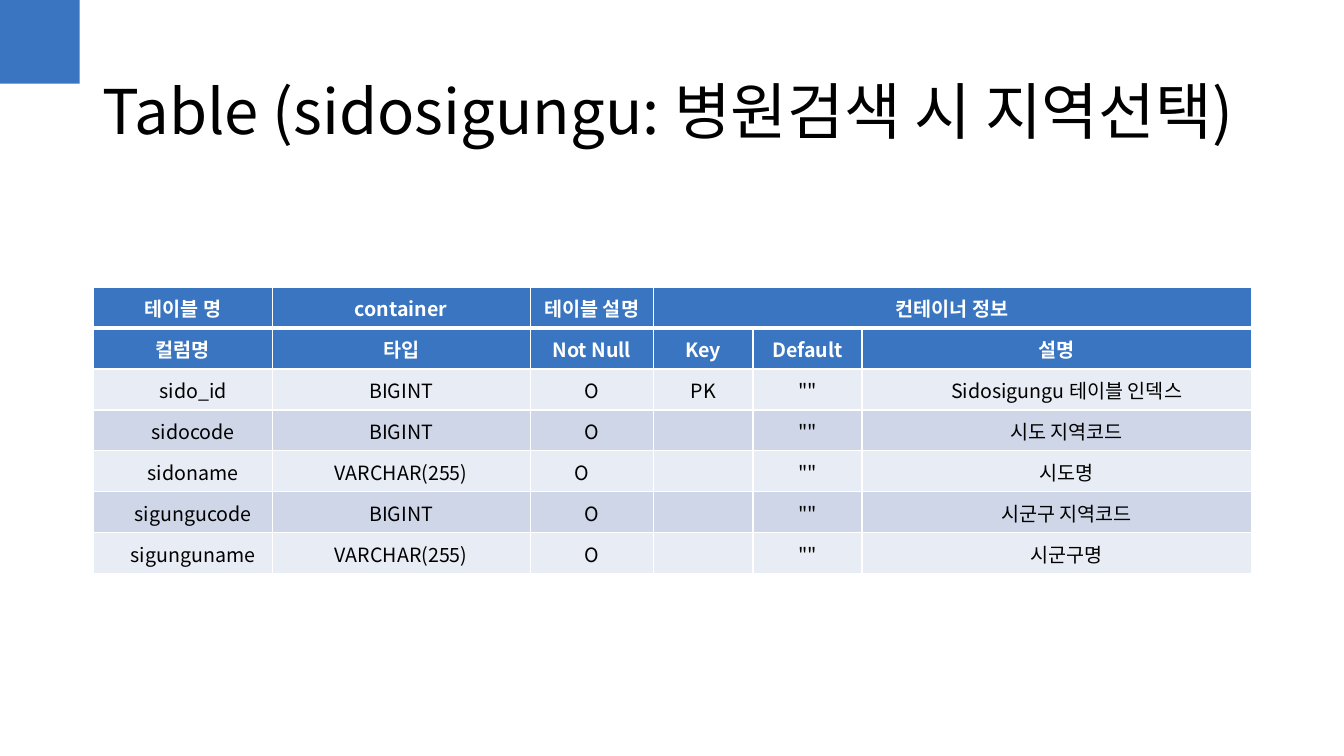
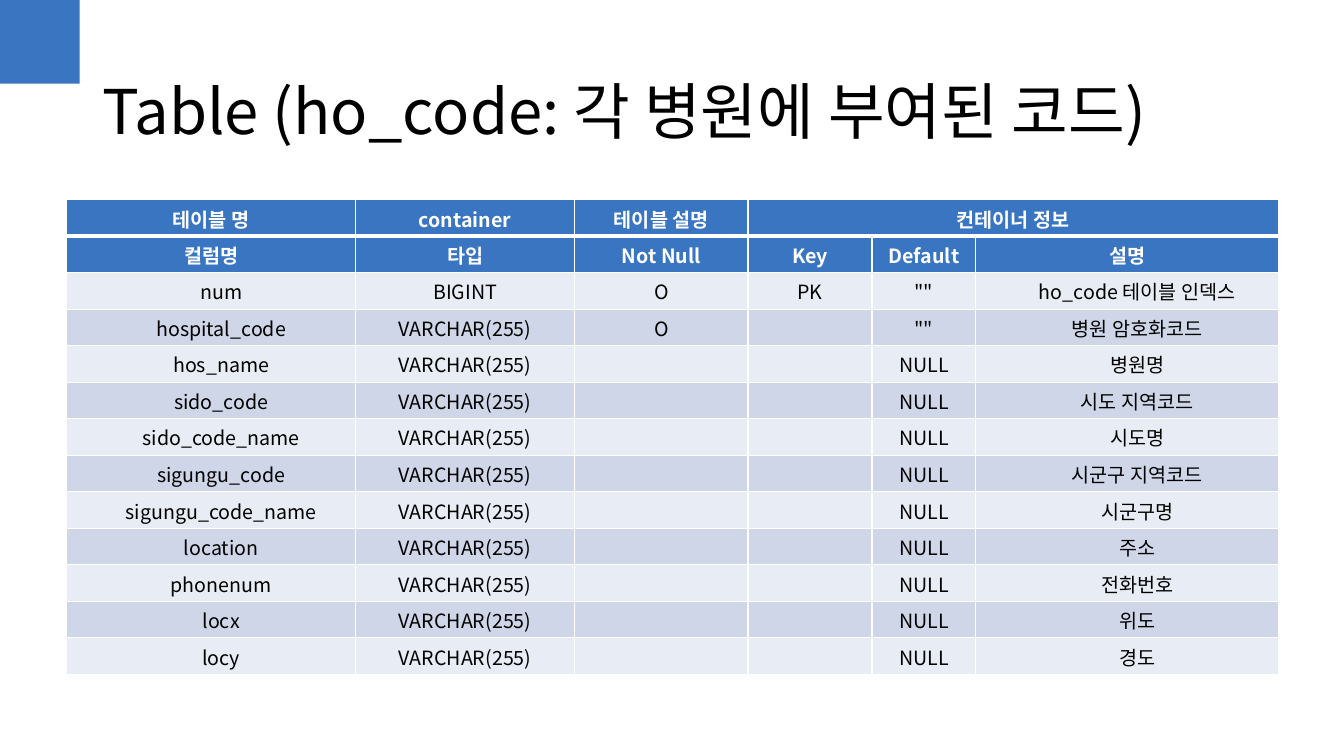
from lxml import etree
from pptx import Presentation
from pptx import util as u
from pptx.dml.color import RGBColor
from pptx.enum import shapes, text
from pptx.oxml.ns import qn

FONT = "Noto Sans CJK KR"
COLORS = {"blue": "3975C0", "white": "FFFFFF", "black": "000000",
          "light": "E8ECF4", "dark": "CED6E8"}
HEADERS = [
    ("테이블 명", "container", "테이블 설명", "컨테이너 정보", "", ""),
    ("컬럼명", "타입", "Not Null", "Key", "Default", "설명"),
]
INDENTED = (0, 5)  # name and description columns
TABLES = [
    {
        "title": "Table (sidosigungu: 병원검색 시 지역선택)",
        "left": 0.93, "top": 2.85, "height": 2.84,
        "columns": (1.77, 2.56, 1.22, 0.99, 1.08, 3.86),
        "rows": [
            ("sido_id", "BIGINT", "O", "PK", '""', "Sidosigungu 테이블 인덱스"),
            ("sidocode", "BIGINT", "O", "", '""', "시도 지역코드"),
            ("sidoname", "VARCHAR(255)", "O　", "", '""', "시도명"),
            ("sigungucode", "BIGINT", "O", "", '""', "시군구 지역코드"),
            ("sigunguname", "VARCHAR(255)", "O", "", '""', "시군구명"),
        ],
    },
    {
        "title": "Table (ho_code: 각 병원에 부여된 코드)",
        "left": 0.66, "top": 1.98, "height": 4.71,
        "columns": (2.87, 2.17, 1.72, 1.23, 1.03, 3),
        "rows": [
            ("num", "BIGINT", "O", "PK", '""', "ho_code 테이블 인덱스"),
            ("hospital_code", "VARCHAR(255)", "O", "", '""', "병원 암호화코드"),
            *[(name, "VARCHAR(255)", "", "", "NULL", meaning) for name, meaning in (
                ("hos_name", "병원명"),
                ("sido_code", "시도 지역코드"),
                ("sido_code_name", "시도명"),
                ("sigungu_code", "시군구 지역코드"),
                ("sigungu_code_name", "시군구명"),
                ("location", "주소"),
                ("phonenum", "전화번호"),
                ("locx", "위도"),
                ("locy", "경도"),
            )],
        ],
    },
]


def paint(fill, color):
    fill.solid()
    fill.fore_color.rgb = RGBColor.from_string(COLORS[color])


def style_runs(paragraph, size, color, bold=False):
    for run in paragraph.runs:
        run.font.size = u.Pt(size)
        run.font.bold = bold
        run.font.name = FONT
        run.font.color.rgb = RGBColor.from_string(COLORS[color])
        etree.SubElement(run._r.get_or_add_rPr(), qn("a:ea"), typeface=FONT)


def add_corner(slide):
    corner = slide.shapes.add_shape(shapes.MSO_SHAPE.RECTANGLE, 0, 0,
                                    u.Inches(0.79), u.Inches(0.83))
    corner.shadow.inherit = False
    paint(corner.fill, "blue")
    corner.line.fill.background()


def add_title(slide, wording):
    frame = slide.shapes.add_textbox(u.Inches(0.92), u.Inches(0.35),
                                     u.Inches(11.5), u.Inches(1.45)).text_frame
    frame.word_wrap = True
    frame.vertical_anchor = text.MSO_ANCHOR.MIDDLE
    frame.margin_top = u.Inches(0.15)
    frame.text = wording
    title = frame.paragraphs[0]
    title.line_spacing = 0.97
    style_runs(title, 44, "black")


def add_borders(cell, **points):
    """Draw white cell edges; points gives the width of each of L, R, T, B."""
    props = cell._tc.get_or_add_tcPr()
    for side, width in points.items():
        edge = etree.SubElement(props, qn("a:ln" + side), w=str(u.Pt(width)))
        solid = etree.SubElement(edge, qn("a:solidFill"))
        etree.SubElement(solid, qn("a:srgbClr"), val=COLORS["white"])


def fill_cell(cell, wording, row, column):
    header = row < len(HEADERS)
    add_borders(cell, L=1, R=1, T=3 if row == 1 else 1, B=3 if row == 0 else 1)
    paint(cell.fill, "blue" if header else ("light", "dark")[row % 2])
    cell.vertical_anchor = text.MSO_ANCHOR.MIDDLE
    if row > 0:
        cell.margin_left = cell.margin_right = cell.margin_top = u.Inches(0.01)
        cell.margin_bottom = 0
    cell.text_frame.text = wording
    paragraph = cell.text_frame.paragraphs[0]
    paragraph.alignment = text.PP_ALIGN.CENTER
    if not header and column in INDENTED:
        paragraph._p.get_or_add_pPr().set("marL", str(u.Inches(0.2)))
    style_runs(paragraph, 14, "white" if header else "black", header)
    if not wording:
        etree.SubElement(paragraph._p, qn("a:endParaRPr"), sz="1400")


def add_schema(slide, schema):
    rows = HEADERS + schema["rows"]
    widths = schema["columns"]
    grid = slide.shapes.add_table(
        len(rows), len(widths), u.Inches(schema["left"]), u.Inches(schema["top"]),
        u.Inches(sum(widths)), u.Inches(schema["height"])).table
    grid.first_row = grid.horz_banding = False
    for column, width in zip(grid.columns, widths):
        column.width = u.Inches(width)
    for r, row in enumerate(rows):
        grid.rows[r].height = u.Inches(schema["height"] / len(rows))
        for c, wording in enumerate(row):
            fill_cell(grid.cell(r, c), wording, r, c)
    grid.cell(0, 3).merge(grid.cell(0, 5))


def main():
    deck = Presentation()
    deck.slide_width, deck.slide_height = u.Inches(13.33), u.Inches(7.5)
    for schema in TABLES:
        slide = deck.slides.add_slide(deck.slide_layouts[6])
        add_corner(slide)
        add_title(slide, schema["title"])
        add_schema(slide, schema)
    deck.save("out.pptx")


if __name__ == "__main__":
    main()
